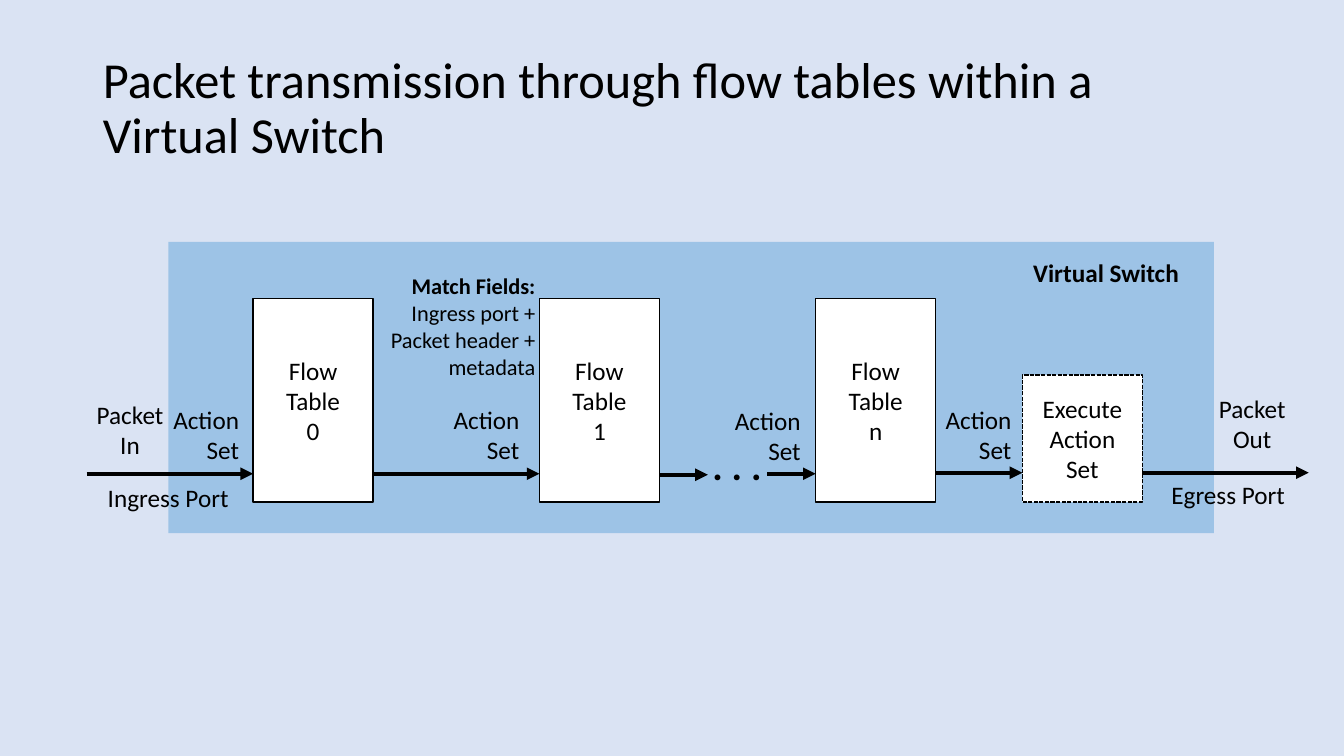
from lxml import etree
from pptx import Presentation
from pptx.dml.color import RGBColor
from pptx.enum.dml import MSO_LINE_DASH_STYLE as Dash
from pptx.enum.shapes import MSO_CONNECTOR as Connector, MSO_SHAPE as Shape
from pptx.enum.text import MSO_ANCHOR as Anchor, MSO_AUTO_SIZE as AutoSize, PP_ALIGN as Align
from pptx.oxml.ns import qn
from pptx.util import Inches, Pt

COLORS = {"background": "DAE3F3", "switch": "9DC3E6", "box": "FFFFFF", "ink": "000000"}
RGB = {name: RGBColor.from_string(value) for name, value in COLORS.items()}


def write(box, lines, size=18, align=Align.CENTER, anchor=Anchor.TOP, bold_lines=0, wrap=True):
    frame = box.text_frame
    settings = {"word_wrap": wrap, "auto_size": AutoSize.NONE, "vertical_anchor": anchor}
    for name, value in settings.items():
        setattr(frame, name, value)
    for index, line in enumerate(lines):
        para = frame.paragraphs[0] if index == 0 else frame.add_paragraph()
        para.alignment = align
        span = para.add_run()
        span.text = line
        font_format = {"name": "Calibri", "size": Pt(size), "bold": index < bold_lines}
        for name, value in font_format.items():
            setattr(span.font, name, value)
        span.font.color.rgb = RGB["ink"]


def add_block(left, top, width, height, fill):
    block = page.shapes.add_shape(
        Shape.RECTANGLE, Inches(left), Inches(top), Inches(width), Inches(height))
    block.shadow.inherit = False
    block.fill.solid()
    block.fill.fore_color.rgb = RGB[fill]
    block.line.fill.background()
    return block


deck = Presentation()
deck.slide_width, deck.slide_height = Inches(13.33), Inches(7.5)
page = deck.slides.add_slide(deck.slide_layouts[5])
page.background.fill.solid()
page.background.fill.fore_color.rgb = RGB["background"]

title = page.shapes.title
title_place = {"left": 0.92, "top": 0.4, "width": 10.7, "height": 1.28}
for name, value in title_place.items():
    setattr(title, name, Inches(value))
write(title, ["Packet transmission through flow tables within a Virtual Switch"],
      size=36, align=Align.LEFT, anchor=Anchor.BOTTOM)
title.text_frame.paragraphs[0].line_spacing = 0.9

add_block(1.67, 2.4, 10.37, 2.89, "switch")

BOX_WIDTH, BOX_BOTTOM = 1.19, 4.98
stages = [
    (2.51, 2.96, ["Flow", "Table", "0"], Dash.SOLID),
    (5.35, 2.96, ["Flow", "Table", "1"], Dash.SOLID),
    (8.09, 2.96, ["Flow", "Table", "n"], Dash.SOLID),
    (10.14, 3.72, ["Execute Action Set"], Dash.SQUARE_DOT),
]
for left, top, lines, dash in stages:
    stage = add_block(left, top, BOX_WIDTH, BOX_BOTTOM - top, "box")
    stage.line.color.rgb = RGB["ink"]
    stage.line.width = Pt(1)
    stage.line.dash_style = dash
    write(stage, lines, anchor=Anchor.MIDDLE)

arrows = [
    (0.86, 2.51, 4.7), (3.7, 5.35, 4.7), (6.55, 7.02, 4.71),
    (7.61, 8.09, 4.7), (9.28, 10.14, 4.69), (11.33, 12.98, 4.69),
]
for start, end, height in arrows:
    arrow = page.shapes.add_connector(
        Connector.STRAIGHT, Inches(start), Inches(height), Inches(end), Inches(height))
    arrow.line.color.rgb = RGB["ink"]
    arrow.line.width = Pt(3)
    etree.SubElement(arrow.line._get_or_add_ln(), qn("a:tailEnd"), type="triangle")
    etree.SubElement(arrow._element.spPr, qn("a:effectLst"))

action_set = (["Action Set"], {"align": Align.RIGHT})
labels = [
    (0.97, 4.74, 1.41, 0.4, ["Ingress Port"], {"align": Align.LEFT}),
    (11.52, 4.71, 1.34, 0.4, ["Egress Port"], {"align": Align.LEFT, "wrap": False}),
    (0.84, 3.91, 0.9, 0.71, ["Packet", "In"], {}),
    (11.97, 3.85, 0.9, 0.71, ["Packet", "Out"], {}),
    (10.06, 2.5, 1.82, 0.4, ["Virtual Switch"], {"bold_lines": 1}),
    (6.86, 4.33, 0.9, 0.57, [". . ."], {"size": 28, "bold_lines": 1}),
    (1.57, 3.96, 0.9, 0.71, *action_set),
    (4.35, 3.96, 0.9, 0.71, *action_set),
    (7.14, 3.97, 0.9, 0.71, *action_set),
    (9.23, 3.96, 0.9, 0.71, *action_set),
    (3.51, 2.65, 1.9, 1.18,
     ["Match Fields:", "Ingress port +", "Packet header +", "metadata"],
     {"size": 16, "align": Align.RIGHT, "bold_lines": 1}),
]
for left, top, width, height, lines, text_format in labels:
    label = page.shapes.add_textbox(Inches(left), Inches(top), Inches(width), Inches(height))
    write(label, lines, **text_format)

deck.save("out.pptx")
